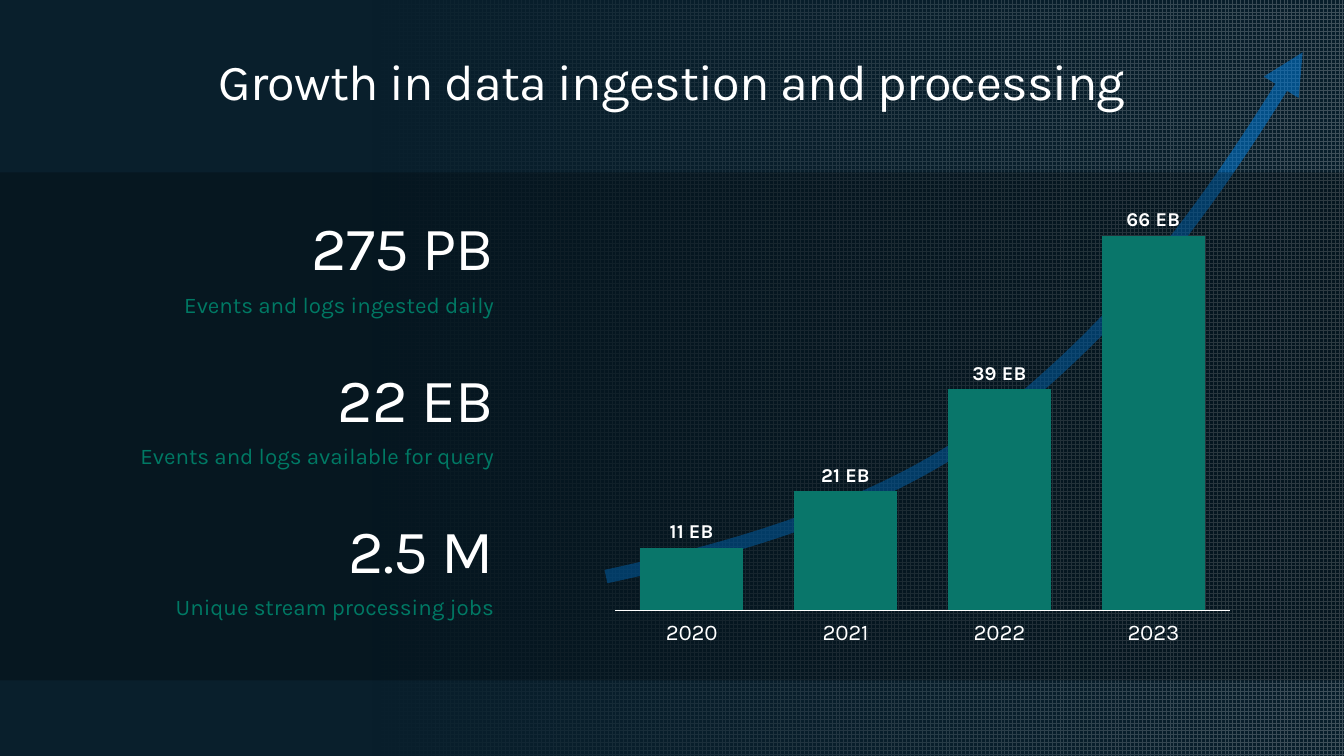
from lxml import etree
from pptx import Presentation
from pptx.chart.data import CategoryChartData
from pptx.dml.color import RGBColor
from pptx.enum.chart import XL_CHART_TYPE, XL_LABEL_POSITION, XL_TICK_LABEL_POSITION, XL_TICK_MARK
from pptx.enum.dml import MSO_PATTERN
from pptx.enum.shapes import MSO_SHAPE
from pptx.enum.text import MSO_ANCHOR, PP_ALIGN
from pptx.oxml import parse_xml
from pptx.oxml.ns import nsdecls, qn
from pptx.util import Inches, Pt

# Content
TITLE = "Growth in data ingestion and processing"
STATS = [
    ("275 PB", "Events and logs ingested daily"),
    ("22 EB", "Events and logs available for query"),
    ("2.5 M", "Unique stream processing jobs"),
]
YEARS = ["2020", "2021", "2022", "2023"]
EXABYTES = [11, 21, 39, 66]
EB_FORMAT = '#\\ "EB"'

# Two cubic curves: a start, then three points for each curve
ARROW = [(6.01, 5.72), (7.5, 5.4), (8.96, 4.94), (10.04, 4.05),
         (11.12, 3.16), (11.98, 2.08), (12.92, 0.52)]
PLOT_LAYOUT = {"x": 0.02, "y": 0.02, "w": 0.96, "h": 0.893}

FONT = "Karla"
NAVY, WHITE, BLACK = "091F2C", "FFFFFF", "000000"
BLUE, BAR_GREEN, LABEL_GREEN = "0078D4", "09766A", "007964"


def rgb(value):
    return RGBColor.from_string(value)


def set_alpha(clr, percent):
    etree.SubElement(clr, qn("a:alpha")).set("val", str(percent * 1000))


def add_rect(shapes, x, y, w, h):
    sp = shapes.add_shape(MSO_SHAPE.RECTANGLE, Inches(x), Inches(y), Inches(w), Inches(h))
    sp.shadow.inherit = False
    sp.line.fill.background()
    return sp


def format_font(font, size, color=WHITE, bold=False):
    font.name, font.size, font.bold = FONT, Pt(size), bold
    font.color.rgb = rgb(color)


def add_text(text, x, y, w, h, *, size, color=WHITE, align=PP_ALIGN.RIGHT,
             anchor=MSO_ANCHOR.TOP, side=0.1, edge=0.0, line_spacing=1.0, tracking=0):
    tf = slide.shapes.add_textbox(Inches(x), Inches(y), Inches(w), Inches(h)).text_frame
    tf.word_wrap = True
    tf.vertical_anchor = anchor
    tf.margin_left = tf.margin_right = Inches(side)
    tf.margin_top = tf.margin_bottom = Inches(edge)
    p = tf.paragraphs[0]
    p.alignment, p.line_spacing = align, line_spacing
    r = p.add_run()
    r.text = text
    format_font(r.font, size, color)
    if tracking:
        r.font._element.set("spc", str(tracking))


prs = Presentation()
prs.slide_width, prs.slide_height = Inches(13.33), Inches(7.5)
slide = prs.slides.add_slide(prs.slide_layouts[6])
slide.background.fill.solid()
slide.background.fill.fore_color.rgb = rgb(NAVY)

# Grid texture that fades out to the left
texture = slide.shapes.add_group_shape()
grid = add_rect(texture.shapes, 3.69, 0, 9.64, 7.5)
grid.fill.patterned()
grid.fill.pattern = MSO_PATTERN.LARGE_GRID
grid.fill.fore_color.rgb = rgb(WHITE)
grid.fill.back_color.rgb = rgb(NAVY)

fade = add_rect(texture.shapes, 3.69, 0, 9.64, 7.5)
fade.fill.gradient()
fade.fill.gradient_angle = 180
for stop, position in zip(fade.fill.gradient_stops, (0, 1)):
    stop.position = position
    stop.color.rgb = rgb(NAVY)
set_alpha(fade._element.spPr.find(".//" + qn("a:srgbClr")), 78)

# Growth arrow: line segments regrouped in threes as cubic curves
builder = slide.shapes.build_freeform(Inches(ARROW[0][0]), Inches(ARROW[0][1]))
builder.add_line_segments([(Inches(x), Inches(y)) for x, y in ARROW[1:]], close=False)
arrow = builder.convert_to_shape()
arrow.shadow.inherit = False
arrow.fill.background()
arrow.line.width = Pt(9.75)
arrow.line.color.rgb = rgb(BLUE)
curve = arrow._element.spPr.find(".//" + qn("a:path"))
segments = curve.findall(qn("a:lnTo"))
for i in range(0, len(segments), 3):
    cubic = etree.SubElement(curve, qn("a:cubicBezTo"))
    for segment in segments[i:i + 3]:
        cubic.append(segment[0])
        curve.remove(segment)
ln = arrow.line._get_or_add_ln()
set_alpha(ln.find(".//" + qn("a:srgbClr")), 55)
etree.SubElement(ln, qn("a:tailEnd")).set("type", "triangle")

# Dark band
band = add_rect(slide.shapes, 0, 1.71, 13.33, 5.04)
band.fill.solid()
band.fill.fore_color.rgb = rgb(BLACK)
set_alpha(band._element.spPr.find(qn("a:solidFill"))[0], 25)

# Title
add_text(TITLE, 0.64, 0.5, 12.05, 0.61, size=36, align=PP_ALIGN.CENTER, side=0, tracking=-50)

# Column chart
data = CategoryChartData(number_format=EB_FORMAT)
data.categories = YEARS
data.add_series("Series 1", EXABYTES)
chart = slide.shapes.add_chart(XL_CHART_TYPE.COLUMN_CLUSTERED, Inches(5.97), Inches(2.03),
                               Inches(6.36), Inches(4.41), data).chart
chart.has_legend = chart.has_title = False
format_font(chart.font, 10)

plot = chart.plots[0]
plot.vary_by_categories = False
plot.gap_width, plot.overlap = 50, -27
bars = plot.series[0]
bars.format.fill.solid()
bars.format.fill.fore_color.rgb = rgb(BAR_GREEN)
labels = bars.data_labels
labels.show_value = True
labels.number_format, labels.number_format_is_linked = EB_FORMAT, False
labels.position = XL_LABEL_POSITION.OUTSIDE_END
format_font(labels.font, 14, bold=True)

years = chart.category_axis
years.major_tick_mark = years.minor_tick_mark = XL_TICK_MARK.NONE
years.tick_label_position = XL_TICK_LABEL_POSITION.LOW
years.format.line.color.rgb = rgb(WHITE)
years.format.line.width = Pt(0.75)
format_font(years.tick_labels.font, 16)

values = chart.value_axis
values.minimum_scale, values.maximum_scale = 0, 70
values.has_major_gridlines = False
values.visible = False

plot_area = chart._chartSpace.chart.plotArea
for old in plot_area.findall(qn("c:layout")):
    plot_area.remove(old)
sizes = "".join(f'<c:{key} val="{val}"/>' for key, val in PLOT_LAYOUT.items())
plot_area.insert(0, parse_xml(
    f'<c:layout {nsdecls("c")}><c:manualLayout><c:layoutTarget val="inner"/>'
    f'<c:xMode val="edge"/><c:yMode val="edge"/>{sizes}</c:manualLayout></c:layout>'))

# Key figures, one every 1.5 inches
for i, (figure, label) in enumerate(STATS):
    top = 2.07 + 1.5 * i
    add_text(figure, 1, top, 4, 0.74, size=44, anchor=MSO_ANCHOR.BOTTOM, tracking=-50)
    add_text(label, 1, top + 0.74, 4, 0.37, size=16, color=LABEL_GREEN,
             edge=0.05, line_spacing=1.1)

prs.save("out.pptx")
